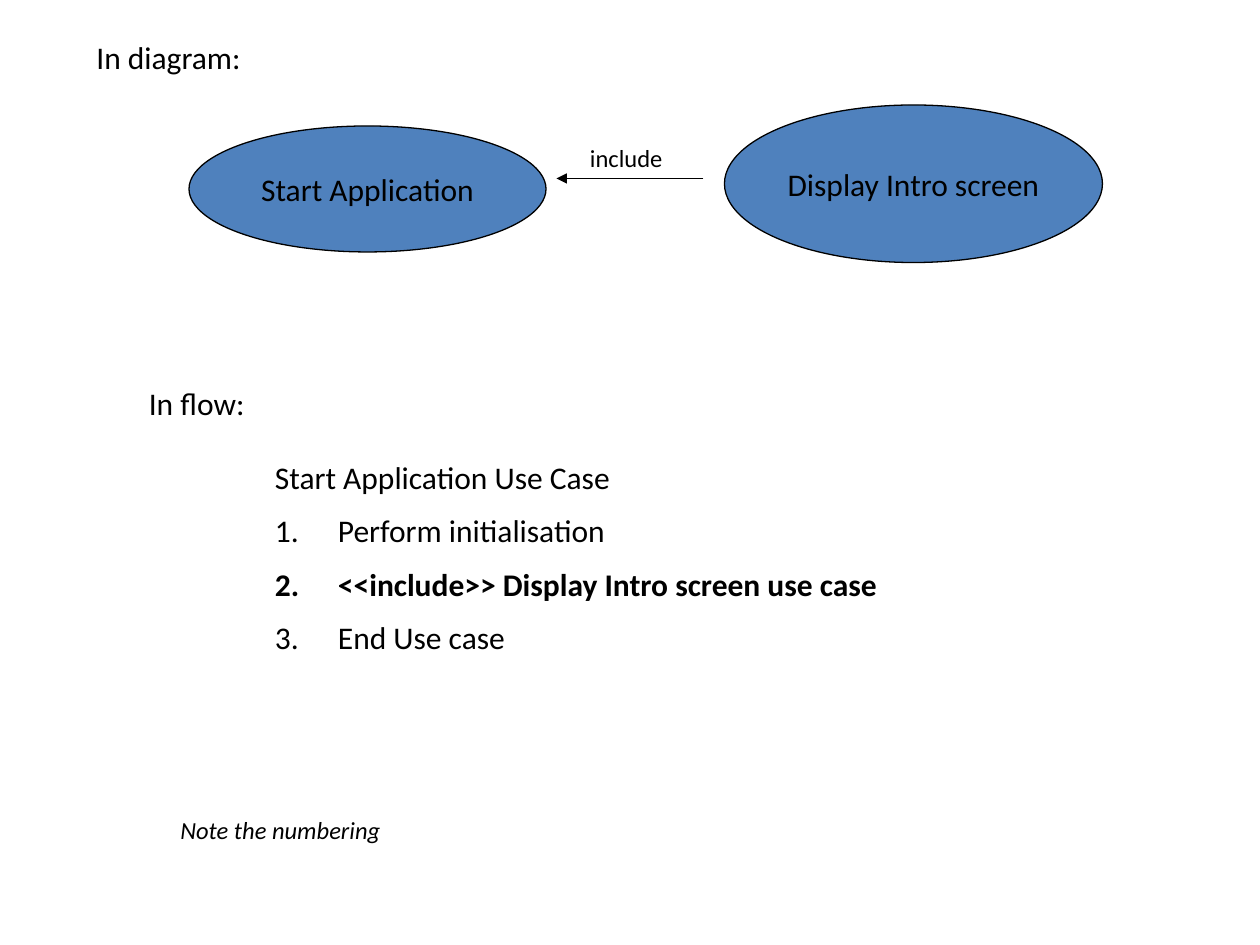
from pptx import Presentation
from pptx import util as u
from pptx.dml.color import RGBColor
from pptx.enum import shapes, text
from pptx.oxml.ns import qn
from lxml import etree

Pt = u.Pt
FONT = "Calibri"
COLORS = {"ink": "000000", "oval": "4F81BD"}


def rgb(name):
    return RGBColor.from_string(COLORS[name])


def add_run(p, words, size, bold=False, italic=False):
    r = p.add_run()
    r.text = words
    f = r.font
    f.name, f.size, f.bold, f.italic = FONT, Pt(size), bold, italic
    f.color.rgb = rgb("ink")


def add_box(slide, x, y, w, h):
    tf = slide.shapes.add_textbox(Pt(x), Pt(y), Pt(w), Pt(h)).text_frame
    tf.word_wrap = True
    tf.auto_size = text.MSO_AUTO_SIZE.SHAPE_TO_FIT_TEXT
    return tf


def add_label(slide, x, y, w, h, words, size=18, italic=False):
    tf = add_box(slide, x, y, w, h)
    add_run(tf.paragraphs[0], words, size, italic=italic)


def add_use_case(slide, x, y, w, h, name):
    sp = slide.shapes.add_shape(shapes.MSO_SHAPE.OVAL, Pt(x), Pt(y), Pt(w), Pt(h))
    sp.shadow.inherit = False
    sp.fill.solid()
    sp.fill.fore_color.rgb = rgb("oval")
    sp.line.color.rgb = rgb("ink")
    sp.line.width = Pt(0.75)
    tf = sp.text_frame
    tf.word_wrap = False
    tf.vertical_anchor = text.MSO_ANCHOR.MIDDLE
    p = tf.paragraphs[0]
    p.alignment = text.PP_ALIGN.CENTER
    add_run(p, name, 18)


def add_arrow(slide, x1, x2, y):
    cx = slide.shapes.add_connector(
        shapes.MSO_CONNECTOR.STRAIGHT, Pt(x1), Pt(y), Pt(x2), Pt(y))
    cx.line.color.rgb = rgb("ink")
    cx.line.width = Pt(0.75)
    etree.SubElement(cx.line._get_or_add_ln(), qn("a:tailEnd"), type="triangle")
    etree.SubElement(cx._element.spPr, qn("a:effectLst"))


def add_diagram(slide, x, y):
    """Heading and two use cases joined by an include arrow."""
    add_label(slide, x, y, 126, 36, "In diagram:")
    add_use_case(slide, x + 60, y + 54, 204, 72, "Start Application")
    add_arrow(slide, x + 354, x + 270, y + 84)
    add_label(slide, x + 282, y + 60, 60, 24, "include", 14)
    add_use_case(slide, x + 366, y + 42, 216, 90, "Display Intro screen")


def add_flow(slide, x, y):
    """Heading, numbered steps of the use case, and a note."""
    add_label(slide, x, y, 144, 36, "In flow:")
    tf = add_box(slide, x + 72, y + 42, 486, 165.6)
    lines = ["Start Application Use Case", "Perform initialisation",
             "<<include>> Display Intro screen use case", "End Use case"]
    for i, words in enumerate(lines):
        p = tf.add_paragraph() if i else tf.paragraphs[0]
        pPr = p._p.get_or_add_pPr()
        pPr.set("marL", str(Pt(36)))
        pPr.set("indent", str(Pt(-36)))
        if i:
            p.space_before = Pt(9)
            etree.SubElement(pPr, qn("a:buFont"), typeface=FONT)
            etree.SubElement(pPr, qn("a:buAutoNum"), type="arabicPeriod")
        add_run(p, words, 18, bold=words.startswith("<<"))
    add_label(slide, x + 18, y + 246, 282, 24, "Note the numbering", 14, italic=True)


def main():
    prs = Presentation()
    prs.slide_width, prs.slide_height = Pt(720), Pt(540)
    slide = prs.slides.add_slide(prs.slide_layouts[6])
    add_diagram(slide, 48, 18)
    add_flow(slide, 78, 216)
    prs.save("out.pptx")


if __name__ == "__main__":
    main()
